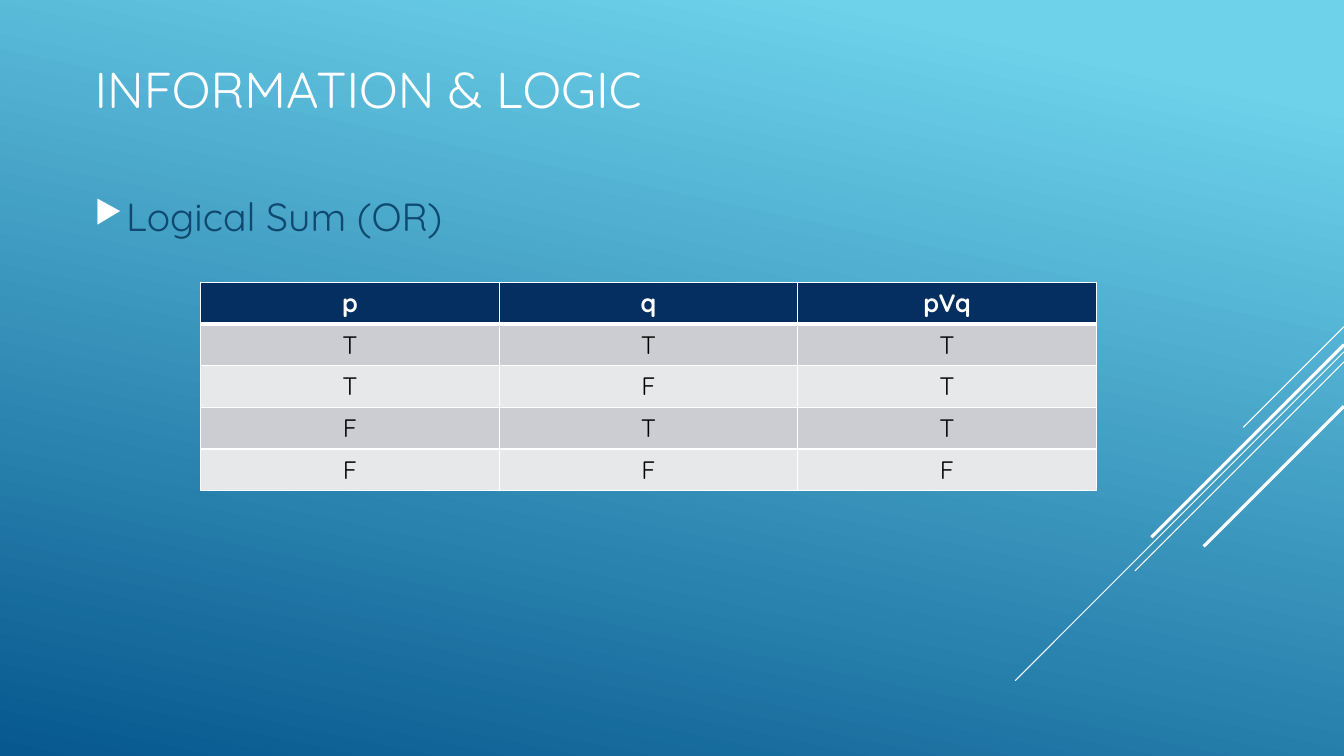
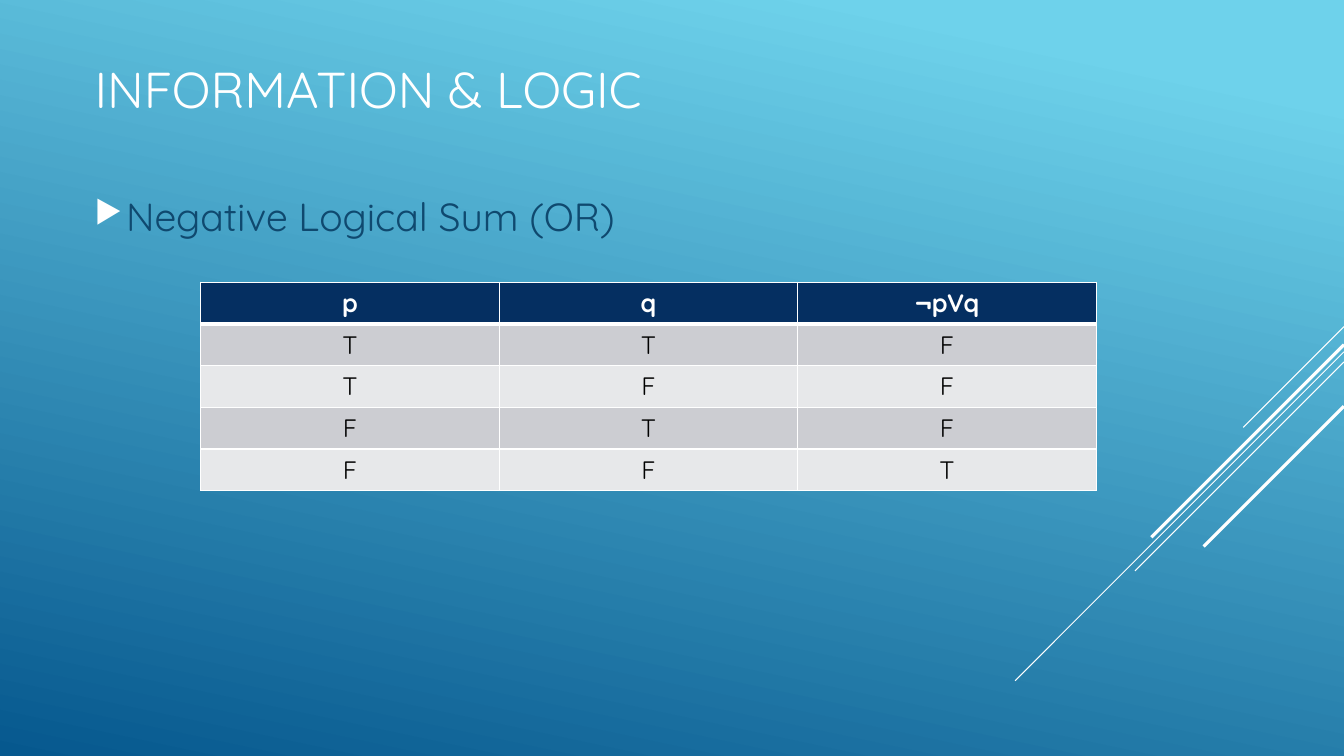
from dataclasses import dataclass

from lxml import etree
from pptx import Presentation
from pptx.dml.color import RGBColor
from pptx.enum import shapes, text
from pptx.oxml import ns
from pptx.util import Pt


@dataclass(frozen=True)
class Theme:
    font: str = "Quicksand"
    white: str = "FFFFFF"
    black: str = "000000"
    sky: str = "6ED2EB"
    ocean: str = "06588E"
    heading: str = "0F496F"
    header: str = "052F61"
    bands: tuple = ("CCCDD2", "E7E8EA")
    title_size: int = 36
    heading_size: int = 28
    table_size: int = 18


theme = Theme()


def add_xml(parent, tag, **attributes):
    return etree.SubElement(parent, ns.qn(tag), attributes)


def write(frame, words, size, color, bold=False, align=text.PP_ALIGN.LEFT):
    frame.word_wrap = True
    frame.vertical_anchor = text.MSO_ANCHOR.MIDDLE
    para = frame.paragraphs[0]
    para.alignment = align
    span = para.add_run()
    span.text = words
    span.font.name = theme.font
    span.font.size = Pt(size)
    span.font.bold = bold
    span.font.color.rgb = RGBColor.from_string(color)
    return para


slide_width, slide_height = 960, 540
text_left, text_width = 60.5, 672
table_left, table_top = 143.3, 201.6
column_width, row_height = 213.3, 29.8
ray_lines = [
    (233.3, 72, 0.75),
    (251.3, 234.9, 0.75),
    (258.5, 149.3, 0.75),
    (246.2, 137.6, 2.25),
    (290.2, 100.2, 2.25),
]
inputs = ["TT", "TF", "FT", "FF"]
truth_tables = [
    ("Logical Sum (OR)", "pVq", "TTTF"),
    ("Negative Logical Sum (OR)", "¬pVq", "FFFT"),
]

deck = Presentation()
deck.slide_width, deck.slide_height = Pt(slide_width), Pt(slide_height)

for heading, formula, results in truth_tables:
    page = deck.slides.add_slide(deck.slide_layouts[6])

    backdrop = page.background.fill
    backdrop.gradient()
    backdrop.gradient_angle = 258
    stops = zip(backdrop.gradient_stops, (0.1, 1), (theme.sky, theme.ocean))
    for stop, position, color in stops:
        stop.position = position
        stop.color.rgb = RGBColor.from_string(color)

    for top, reach, weight in ray_lines:
        ray = page.shapes.add_connector(
            shapes.MSO_CONNECTOR.STRAIGHT,
            Pt(slide_width), Pt(top), Pt(slide_width - reach), Pt(top + reach),
        )
        ray.line.color.rgb = RGBColor.from_string(theme.white)
        ray.line.width = Pt(weight)
        add_xml(ray._element.spPr, "a:effectLst")

    title_box = page.shapes.add_textbox(Pt(text_left), Pt(36.7), Pt(text_width), Pt(53.3))
    write(title_box.text_frame, "INFORMATION & LOGIC", theme.title_size, theme.white)

    heading_box = page.shapes.add_textbox(Pt(text_left), Pt(132), Pt(text_width), Pt(45))
    para = write(heading_box.text_frame, heading, theme.heading_size, theme.heading)
    bullet = para._p.get_or_add_pPr()
    bullet.set("marL", str(Pt(22.5)))
    bullet.set("indent", str(Pt(-22.5)))
    add_xml(add_xml(bullet, "a:buClr"), "a:srgbClr", val=theme.white)
    add_xml(bullet, "a:buSzPct", val="80000")
    add_xml(bullet, "a:buChar", char="▶")

    rows = [("p", "q", formula)] + [(*pair, result) for pair, result in zip(inputs, results)]
    table = page.shapes.add_table(
        len(rows), 3, Pt(table_left), Pt(table_top),
        Pt(3 * column_width), Pt(len(rows) * row_height),
    ).table
    table.first_row = table.horz_banding = False
    for column in table.columns:
        column.width = Pt(column_width)
    for row_index, values in enumerate(rows):
        table.rows[row_index].height = Pt(row_height)
        is_header = row_index == 0
        fill = theme.header if is_header else theme.bands[(row_index - 1) % 2]
        color = theme.white if is_header else theme.black
        weights = {"L": 1, "R": 1, "T": 3 if row_index == 1 else 1, "B": 3 if is_header else 1}
        for column_index, value in enumerate(values):
            cell = table.cell(row_index, column_index)
            write(cell.text_frame, value, theme.table_size, color, is_header, text.PP_ALIGN.CENTER)
            properties = cell._tc.get_or_add_tcPr()
            for side, weight in weights.items():
                border = add_xml(properties, f"a:ln{side}", w=str(Pt(weight)))
                add_xml(add_xml(border, "a:solidFill"), "a:srgbClr", val=theme.white)
            cell.fill.solid()
            cell.fill.fore_color.rgb = RGBColor.from_string(fill)

deck.save("out.pptx")
